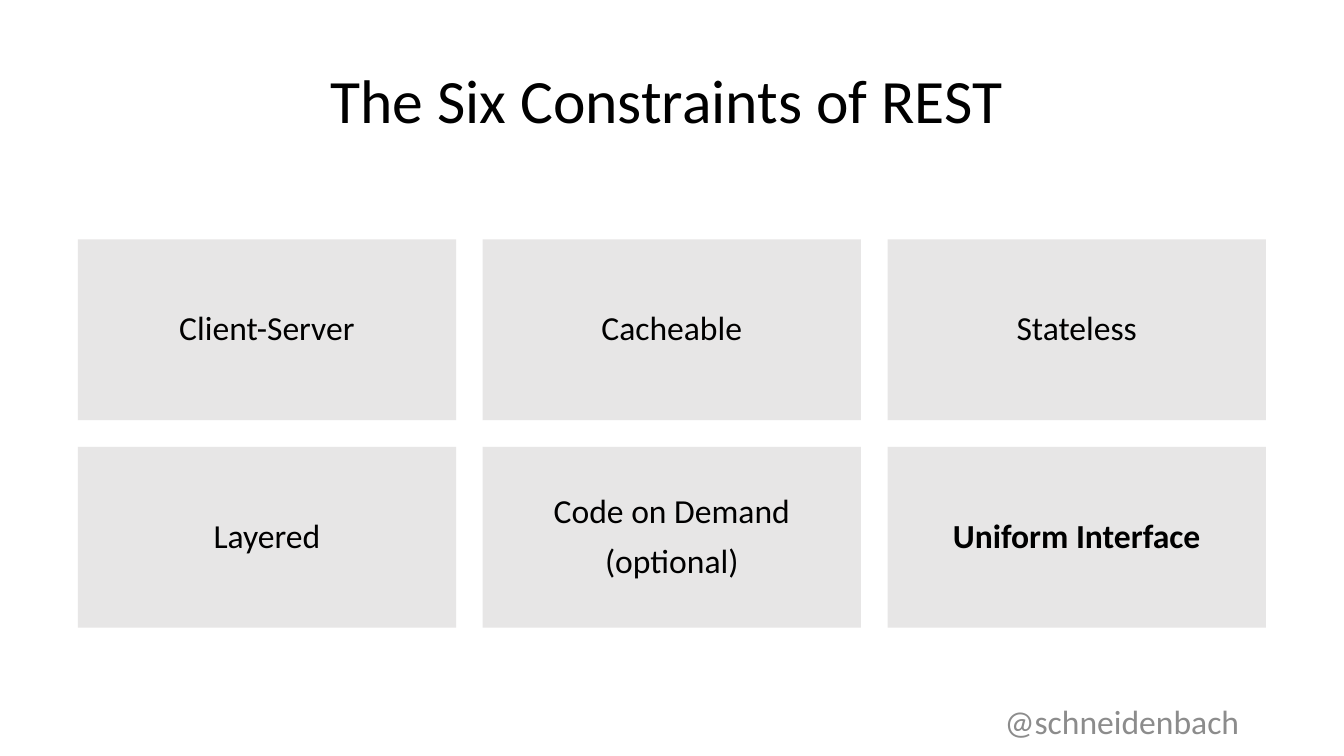
import pptx
import pptx.dml.color
import pptx.enum.shapes
import pptx.enum.text
import pptx.util

Cm = pptx.util.Cm
Pt = pptx.util.Pt
ALIGN = pptx.enum.text.PP_ALIGN
ANCHOR = pptx.enum.text.MSO_ANCHOR

COLORS = {"card": "E7E6E6", "text": "000000", "handle": "8C8C8C"}
CONSTRAINTS = [
    ["Client-Server"], ["Cacheable"], ["Stateless"],
    ["Layered"], ["Code on Demand", "(optional)"], ["Uniform Interface"],
]
HIGHLIGHTED = "Uniform Interface"
COLUMNS = 3
GAP = 0.67


def apply_format(target, values):
    for name, value in values.items():
        setattr(target, name, value)


def write_text(shape, lines, frame_format, paragraph_format, font_format, color):
    frame = shape.text_frame
    apply_format(frame, {
        "word_wrap": True,
        "auto_size": pptx.enum.text.MSO_AUTO_SIZE.NONE,
        **frame_format,
    })
    frame.text = "\n".join(lines)
    for paragraph in frame.paragraphs:
        apply_format(paragraph, {"alignment": ALIGN.CENTER, **paragraph_format})
        for run in paragraph.runs:
            apply_format(run.font, {"name": "Calibri", **font_format})
            run.font.color.rgb = pptx.dml.color.RGBColor.from_string(COLORS[color])


def place_title(slide, left, top, width, height):
    title = slide.shapes.title
    apply_format(title, {
        "left": Cm(left), "top": Cm(top), "width": Cm(width), "height": Cm(height),
    })
    write_text(
        title, ["The Six Constraints of REST"],
        {"vertical_anchor": ANCHOR.TOP, "margin_left": 0, "margin_right": Cm(0.25),
         "margin_top": Cm(0.13), "margin_bottom": Cm(0.13)},
        {"line_spacing": 0.9}, {"size": Pt(44)}, "text",
    )


def place_card(slide, lines, left, top, width, height):
    card = slide.shapes.add_shape(
        pptx.enum.shapes.MSO_SHAPE.RECTANGLE, Cm(left), Cm(top), Cm(width), Cm(height)
    )
    card.shadow.inherit = False
    card.fill.solid()
    card.fill.fore_color.rgb = pptx.dml.color.RGBColor.from_string(COLORS["card"])
    card.line.fill.background()
    margins = {f"margin_{side}": Cm(0.76) for side in ("left", "right", "top", "bottom")}
    write_text(
        card, lines, {"vertical_anchor": ANCHOR.MIDDLE, **margins},
        {"line_spacing": 0.9, "space_before": Pt(10)},
        {"size": Pt(24), "bold": HIGHLIGHTED in lines}, "text",
    )


def place_constraints(slide, left, top, width, height):
    rows = len(CONSTRAINTS) // COLUMNS
    card_width = (width - GAP * (COLUMNS - 1)) / COLUMNS
    card_height = (height - GAP * (rows - 1)) / rows
    for index, lines in enumerate(CONSTRAINTS):
        row, column = divmod(index, COLUMNS)
        place_card(
            slide, lines,
            left + column * (card_width + GAP), top + row * (card_height + GAP),
            card_width, card_height,
        )


def place_handle(slide, left, top, width, height):
    handle = slide.shapes.add_textbox(Cm(left), Cm(top), Cm(width), Cm(height))
    write_text(
        handle, ["@schneidenbach"], {"vertical_anchor": ANCHOR.MIDDLE},
        {}, {"size": Pt(24)}, "handle",
    )


def main():
    presentation = pptx.Presentation()
    apply_format(presentation, {"slide_width": Cm(33.87), "slide_height": Cm(19.05)})
    slide = presentation.slides.add_slide(
        presentation.slide_layouts.get_by_name("Title Only")
    )
    place_title(slide, 1.96, 1.63, 29.94, 1.22)
    place_constraints(slide, 1.96, 6.03, 29.94, 9.79)
    place_handle(slide, 22.56, 17.65, 11.43, 1.02)
    presentation.save("out.pptx")


if __name__ == "__main__":
    main()
